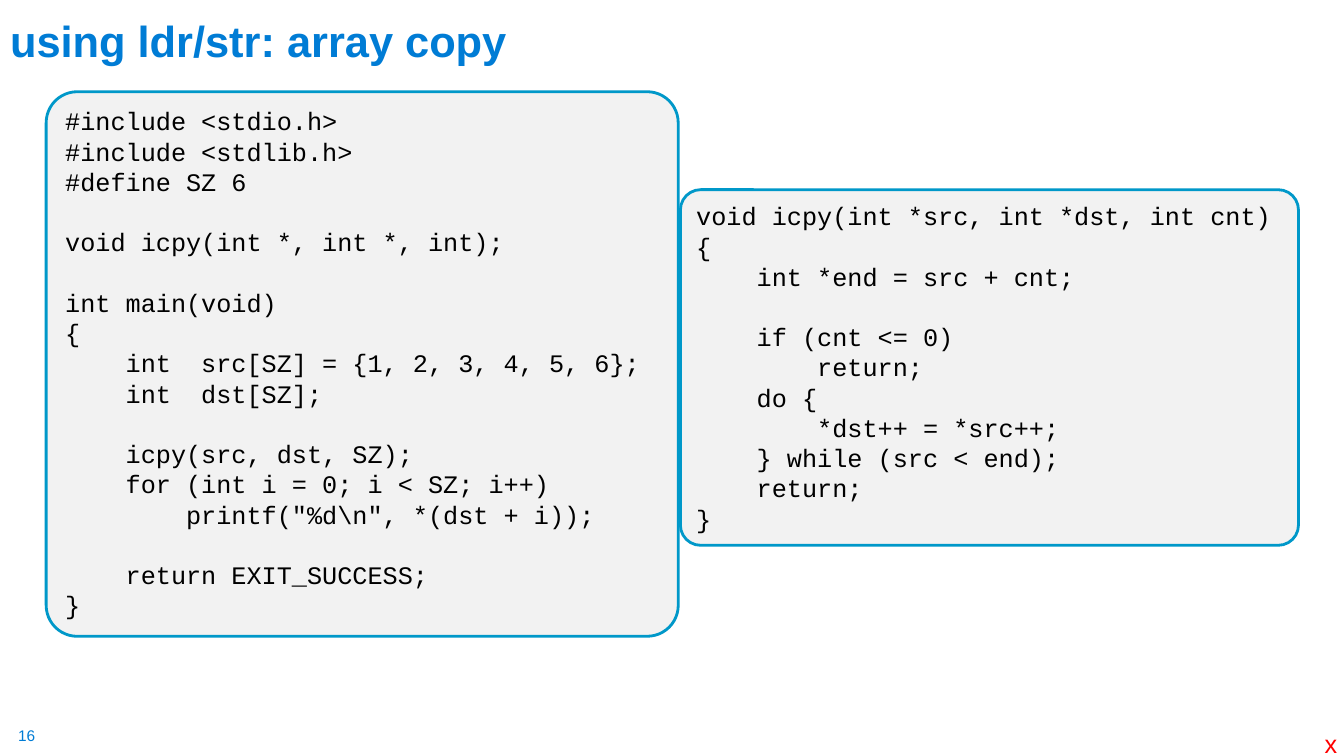
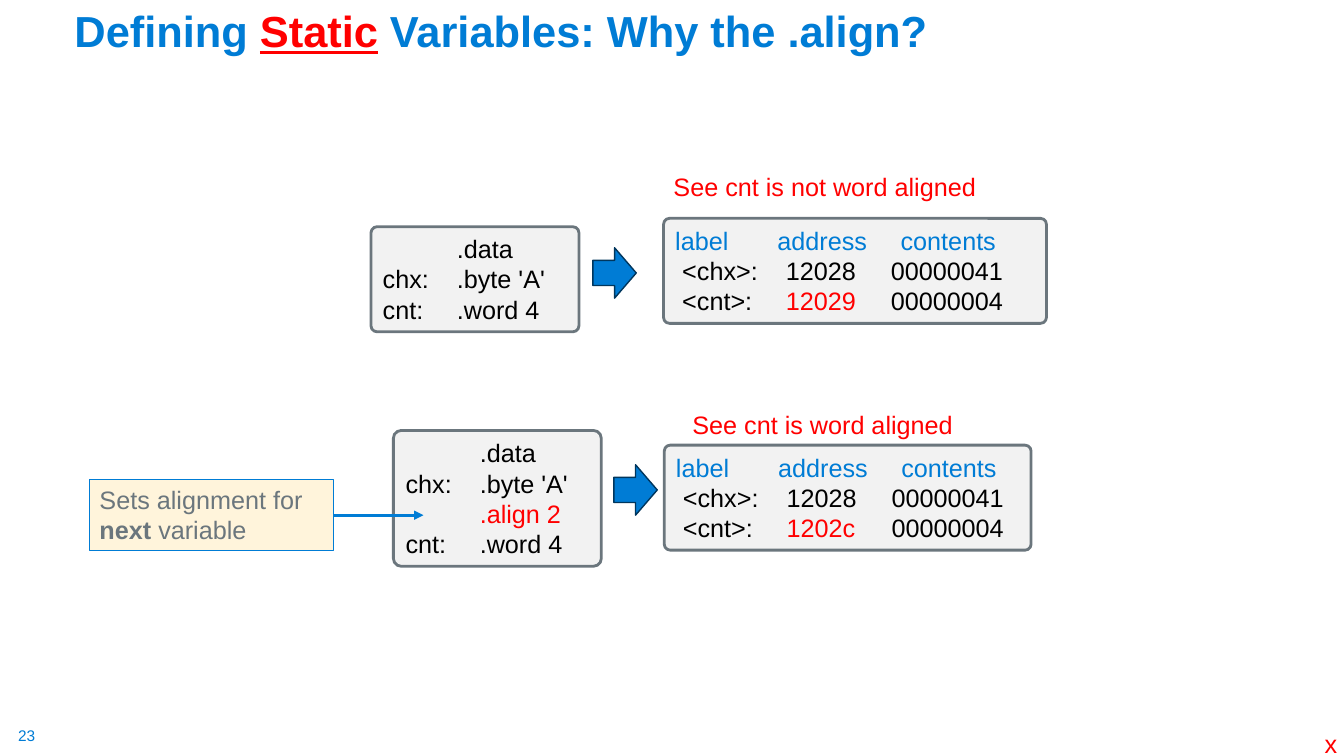
from lxml import etree
from pptx import Presentation
from pptx.dml.color import RGBColor
from pptx.enum.shapes import MSO_CONNECTOR, MSO_SHAPE
from pptx.enum.text import MSO_ANCHOR, MSO_AUTO_SIZE, PP_ALIGN
from pptx.oxml.ns import qn
from pptx.util import Pt

ROUNDED, RECT = MSO_SHAPE.ROUNDED_RECTANGLE, MSO_SHAPE.RECTANGLE
RIGHT_ARROW, STRAIGHT = MSO_SHAPE.RIGHT_ARROW, MSO_CONNECTOR.STRAIGHT
TOP, BOTTOM, LEFT = MSO_ANCHOR.TOP, MSO_ANCHOR.BOTTOM, PP_ALIGN.LEFT
NO_FIT = MSO_AUTO_SIZE.NONE

BLUE = RGBColor(0x00, 0x7C, 0xD5)
NAVY = RGBColor(0x00, 0x36, 0x5D)
CYAN = RGBColor(0x00, 0x98, 0xC9)
GREY = RGBColor(0x6B, 0x76, 0x7D)
PALE = RGBColor(0xF2, 0xF2, 0xF2)
CREAM = RGBColor(0xFF, 0xF4, 0xDB)
RED = RGBColor(0xFF, 0x00, 0x00)
BLACK = RGBColor(0x00, 0x00, 0x00)

SANS, MONO = "Arial", "Courier New"
TITLE_SIZE, BODY_SIZE, NUMBER_SIZE = 31, 18, 11
LEADING = 1.2

# Content: a line is a list of runs (text, colour, styles...)
COPY_TITLE = [("using ldr/str: array copy", BLUE, "bold")]
MAIN_CODE = r"""#include <stdio.h>
#include <stdlib.h>
#define SZ 6

void icpy(int *, int *, int);

int main(void)
{
    int  src[SZ] = {1, 2, 3, 4, 5, 6};
    int  dst[SZ];

    icpy(src, dst, SZ);
    for (int i = 0; i < SZ; i++)
        printf("%d\n", *(dst + i));

    return EXIT_SUCCESS;
}"""
ICPY_CODE = """void icpy(int *src, int *dst, int cnt)
{
    int *end = src + cnt;

    if (cnt <= 0)
        return;
    do {
        *dst++ = *src++;
    } while (src < end);
    return;
}"""
CODE_PANELS = [  # code, box
    (MAIN_CODE, (33, 65.5, 451.5, 389)),
    (ICPY_CODE, (486, 135.5, 441.5, 254)),
]

ALIGN_TITLE = [("Defining ", BLUE, "bold"), ("Static", RED, "bold", "underline"),
               (" Variables: Why the .align?", BLUE, "bold")]
DATA, CHX, CNT = ([(t, BLACK)] for t in
                  ("\t.data", "chx:\t.byte 'A'", "cnt:\t.word 4"))
ALIGN = [("\t.align 2", RED)]
EXAMPLES = [
    {"listing": [DATA, CHX, CNT], "listing_box": (265, 162, 148.5, 75),
     "arrow_at": (423.5, 177),
     "address": "12029", "memory_box": (474, 156, 273.5, 75),
     "label": "See cnt is not word aligned", "label_box": (474, 119, 232.5, 29)},
    {"listing": [DATA, CHX, ALIGN, CNT], "listing_box": (281, 307.5, 148.5, 97),
     "arrow_at": (438.5, 332),
     "address": "1202c", "memory_box": (474.5, 318, 262, 75),
     "label": "See cnt is word aligned", "label_box": (487.5, 289, 202.5, 29)},
]
CALLOUT = [("Sets alignment for ", GREY), ("next", GREY, "bold"), (" variable", GREY)]
CALLOUT_BOX = (64, 342.5, 174.5, 51)
POINTER_END = 302.5

LISTING_STOPS = [53]
HEADER_STOPS = [73, 161]
ROW_STOPS = [5, 79, 154]

prs = Presentation()
prs.slide_width, prs.slide_height = Pt(960), Pt(540)


def points(box):
    return [Pt(v) for v in box]


def set_tabs(p, stops):
    tabs = etree.SubElement(p._p.get_or_add_pPr(), qn("a:tabLst"))
    for stop in stops:
        etree.SubElement(tabs, qn("a:tab"), pos=str(Pt(stop)), algn="l")


def write(tf, lines, size=BODY_SIZE, font=SANS, stops=(), wrap=True):
    """Fill a frame; an empty line becomes space before the next one."""
    tf.word_wrap, tf.auto_size, tf.vertical_anchor = wrap, NO_FIT, TOP
    gap, p = 0, None
    for i, runs in enumerate(lines):
        if not runs:
            gap += size * LEADING
            continue
        p = tf.add_paragraph() if p is not None else tf.paragraphs[0]
        if stops:
            set_tabs(p, stops[min(i, len(stops) - 1)])
        p.alignment, p.line_spacing = LEFT, Pt(size * LEADING)
        p.space_before, gap = Pt(gap), 0
        for text, color, *styles in runs:
            r = p.add_run()
            r.text = text
            r.font.name, r.font.size, r.font.color.rgb = font, Pt(size), color
            r.font.bold = "bold" in styles
            r.font.underline = "underline" in styles


def add_box(s, kind, box, fill, line, width):
    sp = s.shapes.add_shape(kind, *points(box))
    sp.shadow.inherit = False
    sp.fill.solid()
    sp.fill.fore_color.rgb = fill
    sp.line.color.rgb, sp.line.width = line, Pt(width)
    return sp


def add_panel(s, box, line, lines, **text):
    sp = add_box(s, ROUNDED, box, PALE, line, 2)
    sp.adjustments[0] = 0.057
    write(sp.text_frame, lines, **text)


def add_label(s, box, runs, size=BODY_SIZE):
    tf = s.shapes.add_textbox(*points(box)).text_frame
    write(tf, [runs], size, wrap=False)
    return tf


def add_slide(title, title_box, number):
    s = prs.slides.add_slide(prs.slide_layouts[5])
    sp = s.shapes.title
    sp.left, sp.top, sp.width, sp.height = points(title_box)
    write(sp.text_frame, [title], TITLE_SIZE)
    sp.text_frame.vertical_anchor = BOTTOM
    # Footer: slide number and corner mark
    tf = add_label(s, (13, 519, 14, 14), [(number, BLUE)], NUMBER_SIZE)
    tf.margin_left = tf.margin_right = tf.margin_top = tf.margin_bottom = 0
    add_label(s, (939, 517, 24, 29), [("x", RED)])
    return s


def add_pointer(s, source, end_x):
    y = source.top + source.height // 2
    line = s.shapes.add_connector(STRAIGHT, source.left + source.width, y, Pt(end_x), y)
    line.begin_connect(source, 3)
    line.line.color.rgb, line.line.width = BLUE, Pt(2.25)
    etree.SubElement(line.line._get_or_add_ln(), qn("a:tailEnd"), type="triangle")
    etree.SubElement(line._element.spPr, qn("a:effectLst"))


# Array copy
s = add_slide(COPY_TITLE, (0, 16.5, 772, 34.5), "16")
for code, box in CODE_PANELS:
    lines = [[(t, BLACK)] if t else [] for t in code.split("\n")]
    add_panel(s, box, CYAN, lines, font=MONO)

# Alignment of static variables
s = add_slide(ALIGN_TITLE, (46, 10, 890, 34), "23")
for ex in EXAMPLES:
    memory = [
        [("label\taddress\tcontents", BLUE)],
        [("\t<chx>:\t12028\t00000041", BLACK)],
        [("\t<cnt>:\t", BLACK), (ex["address"], RED), ("\t00000004", BLACK)],
    ]
    add_panel(s, ex["listing_box"], GREY, ex["listing"], stops=[LISTING_STOPS])
    add_box(s, RIGHT_ARROW, (*ex["arrow_at"], 31, 36), BLUE, NAVY, 1)
    add_panel(s, ex["memory_box"], GREY, memory, stops=[HEADER_STOPS, ROW_STOPS])
    add_label(s, ex["label_box"], [(ex["label"], RED)])

# Callout pointing at the .align line
callout = add_box(s, RECT, CALLOUT_BOX, CREAM, BLUE, 0.75)
write(callout.text_frame, [CALLOUT])
add_pointer(s, callout, POINTER_END)

prs.save("out.pptx")
